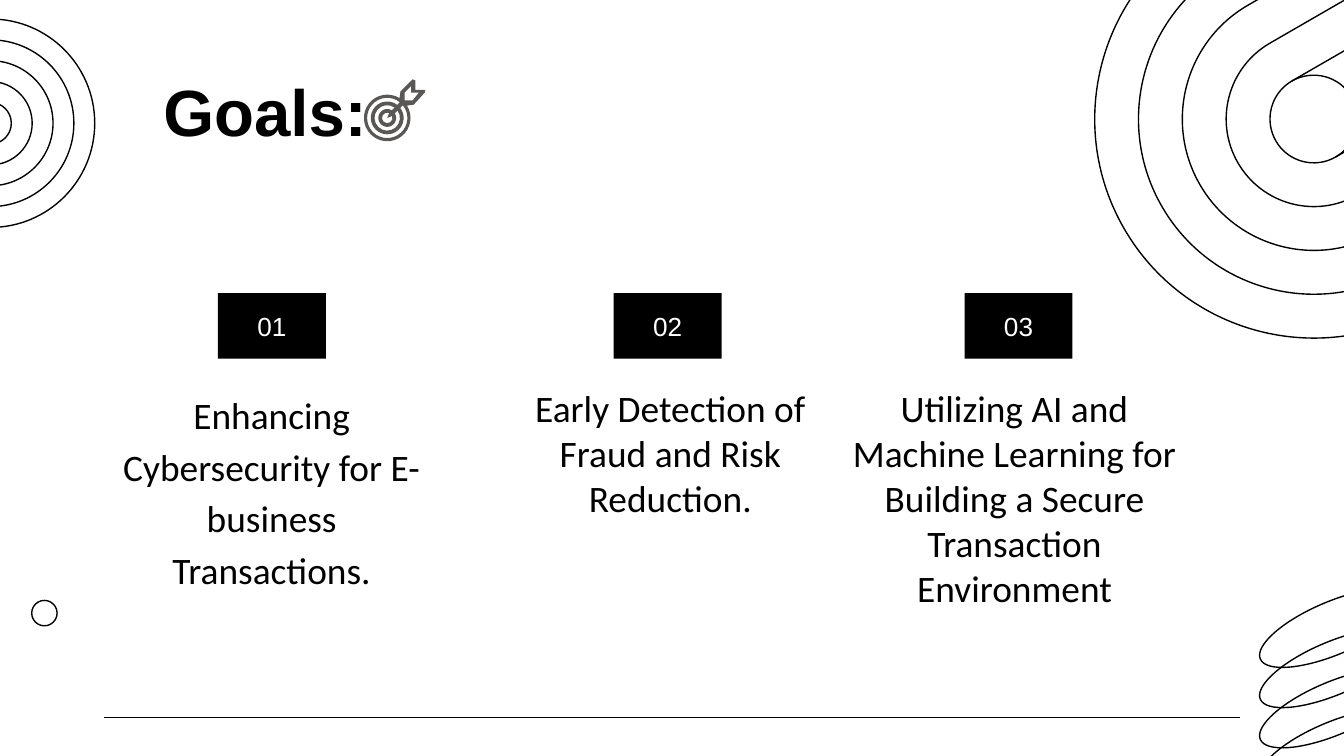
from math import asin, ceil, cos, degrees, radians, sin, tan

from lxml.etree import SubElement
from pptx import Presentation
from pptx.dml.color import RGBColor
from pptx.enum.shapes import MSO_CONNECTOR, MSO_SHAPE
from pptx.enum.text import MSO_ANCHOR, PP_ALIGN
from pptx.oxml.ns import qn
from pptx.util import Cm, Pt

TITLE = "Goals:"
GOALS = [
    dict(number="01", badge=4.12, box=(2.06, 7.04, 6.15, 5.74), spacing=1.15,
         text="Enhancing Cybersecurity for E-business Transactions."),
    dict(number="02", badge=11.6, box=(9.42, 7.04, 6.5, 3.33), spacing=1.0,
         text="Early Detection of Fraud and Risk Reduction."),
    dict(number="03", badge=18.23, box=(15.49, 7.04, 7.37, 5.74), spacing=1.0,
         text="Utilizing AI and Machine Learning for Building a Secure Transaction Environment"),
]
HAIRPINS = [
    dict(center=(-0.18, 2.33), outer=1.97, axis=180, stems=(7.29, 3.18)),
    dict(center=(24.83, 2.25), outer=4.14, axis=-30, stems=(15.34, 6.65)),
]
RING_COUNT = 5
COIL = dict(center=(25.2, 11.87), radii=(1.5, 0.5), tilt=-23, pitch=0.76, count=4)
TARGET = dict(
    center=(7.32, 2.23), rim=0.44, hub=0.1, bands=[(0.38, 0.31), (0.24, 0.17)],
    aim=-45, shaft=0.04, neck=0.1,
    feathers=[(7.57, 1.73), (7.8, 1.5), (7.85, 1.52), (7.85, 1.7), (8.04, 1.7), (8.03, 1.75),
              (7.82, 1.98)],
    feather_hole=[(7.77, 1.63), (7.77, 1.75), (7.92, 1.75), (7.8, 1.9), (7.65, 1.9), (7.65, 1.75)],
)
THEME = dict(
    ink=RGBColor(0, 0, 0), paper=RGBColor(255, 255, 255), icon=RGBColor(0x5A, 0x58, 0x56),
    head="Arial", body="Calibri", title=35, text=20, number=14, thin=0.75,
)

prs = Presentation()
prs.slide_width, prs.slide_height = Cm(25.4), Cm(14.29)
s = prs.slides.add_slide(prs.slide_layouts[6])


def outline(sp):
    sp.shadow.inherit = False
    sp.fill.background()
    sp.line.color.rgb = THEME["ink"]
    sp.line.width = Pt(THEME["thin"])


def paint(sp, color):
    sp.shadow.inherit = False
    sp.fill.solid()
    sp.fill.fore_color.rgb = color
    sp.line.fill.background()


def arc(center, rx, start, end, ry=None, tilt=0):
    ry = rx if ry is None else ry
    ct, st = cos(radians(tilt)), sin(radians(tilt))

    def place(x, y):
        return (center[0] + rx * x * ct - ry * y * st, center[1] + rx * x * st + ry * y * ct)

    n = ceil(abs(end - start) / 90)
    step = radians(end - start) / n
    k = 4 / 3 * tan(step / 4)
    curves = []
    for i in range(n):
        a = radians(start) + i * step
        b = a + step
        curves.append((place(cos(a) - k * sin(a), sin(a) + k * cos(a)),
                       place(cos(b) + k * sin(b), sin(b) - k * cos(b)),
                       place(cos(b), sin(b))))
    return [(place(cos(radians(start)), sin(radians(start))),), *curves]


def lines(points):
    return [(pt,) for pt in points]


def curve_shape(contours, close=False):
    builder = None
    for contour in contours:
        pts = [(Cm(x), Cm(y)) for seg in contour for x, y in seg]
        if builder is None:
            builder = s.shapes.build_freeform(*pts[0])
        else:
            builder.move_to(*pts[0])
        builder.add_line_segments(pts[1:], close=close)
    sp = builder.convert_to_shape()
    steps = iter(list(sp._element.iter(qn("a:lnTo"))))
    for contour in contours:
        for seg in contour[1:]:
            group = [next(steps) for _ in seg]
            if len(group) == 3:
                group[0].tag
                path = group[0].getparent()
                curve = SubElement(path, qn("a:cubicBezTo"))
                group[0].addprevious(curve)
                for step in group:
                    curve.append(step[0])
                    path.remove(step)
    return sp


def stem_end(point, axis, length):
    return ((point[0] + length * cos(radians(axis)), point[1] + length * sin(radians(axis))),)


def hairpins(center, outer, axis, stems):
    for k in range(RING_COUNT, 1, -1):
        bend = arc(center, outer * k / RING_COUNT, axis + 90, axis + 270)
        first = stem_end(bend[0][0], axis, stems[0])
        outline(curve_shape([[first, *bend, stem_end(bend[-1][-1], axis, stems[1])]]))
    for side, length in zip((90, 270), stems):
        bend = arc(center, outer / RING_COUNT, axis + 180, axis + side)
        outline(curve_shape([[*bend, stem_end(bend[-1][-1], axis, length)]]))


def target(center, rim, hub, bands, aim, shaft, neck, feathers, feather_hole):
    def open_ring(radius, half_gap):
        gap = degrees(asin(half_gap / radius))
        return aim + gap, aim + 360 - gap

    start, end = open_ring(rim, neck)
    contours = [arc(center, rim, start, end) + lines(feathers), lines(feather_hole)]
    for big, small in bands:
        start, end = open_ring(big, shaft)
        back, front = open_ring(small, shaft)
        contours.append(arc(center, big, start, end) + arc(center, small, front, back))
    contours.append(arc(center, hub, *open_ring(hub, shaft)) + lines([center]))
    paint(curve_shape(contours, close=True), THEME["icon"])


def write(sp, text, font, size, color=THEME["ink"], bold=False, align=PP_ALIGN.CENTER,
          anchor=MSO_ANCHOR.TOP, spacing=1.0):
    tf = sp.text_frame
    tf.text = text
    tf.word_wrap = True
    tf.vertical_anchor = anchor
    tf.margin_left = tf.margin_right = tf.margin_top = tf.margin_bottom = Cm(0.25)
    p = tf.paragraphs[0]
    p.alignment = align
    p.line_spacing = spacing
    r = p.runs[0]
    r.font.name, r.font.size, r.font.bold = font, Pt(size), bold
    r.font.color.rgb = color


def textbox(box, *args, **kwargs):
    write(s.shapes.add_textbox(*(Cm(v) for v in box)), *args, **kwargs)


c = s.shapes.add_connector(MSO_CONNECTOR.STRAIGHT, Cm(1.97), Cm(13.56), Cm(23.43), Cm(13.56))
c.line.color.rgb = THEME["ink"]
c.line.width = Pt(THEME["thin"])
SubElement(c._element.spPr, qn("a:effectLst"))

for h in HAIRPINS:
    hairpins(**h)
right = HAIRPINS[1]
outline(curve_shape([arc(right["center"], right["outer"] / RING_COUNT,
                         right["axis"] + 90, right["axis"] - 90)]))

for i in range(COIL["count"]):
    x, y = COIL["center"]
    rx, ry = COIL["radii"]
    loop = arc((x, y + i * COIL["pitch"]), rx, 0, 360, ry, COIL["tilt"])
    outline(curve_shape([loop], close=True))
outline(s.shapes.add_shape(MSO_SHAPE.OVAL, Cm(0.6), Cm(11.35), Cm(0.48), Cm(0.48)))

textbox((2.84, 1.12, 4.6, 2.13), TITLE, THEME["head"], THEME["title"], bold=True,
        align=PP_ALIGN.LEFT, anchor=MSO_ANCHOR.MIDDLE, spacing=0.9)
for g in GOALS:
    textbox(g["box"], g["text"], THEME["body"], THEME["text"], spacing=g["spacing"])
for g in GOALS:
    sp = s.shapes.add_shape(MSO_SHAPE.RECTANGLE, Cm(g["badge"]), Cm(5.54), Cm(2.04), Cm(1.24))
    paint(sp, THEME["ink"])
    write(sp, g["number"], THEME["head"], THEME["number"], THEME["paper"],
          anchor=MSO_ANCHOR.MIDDLE)
target(**TARGET)

prs.save("out.pptx")
